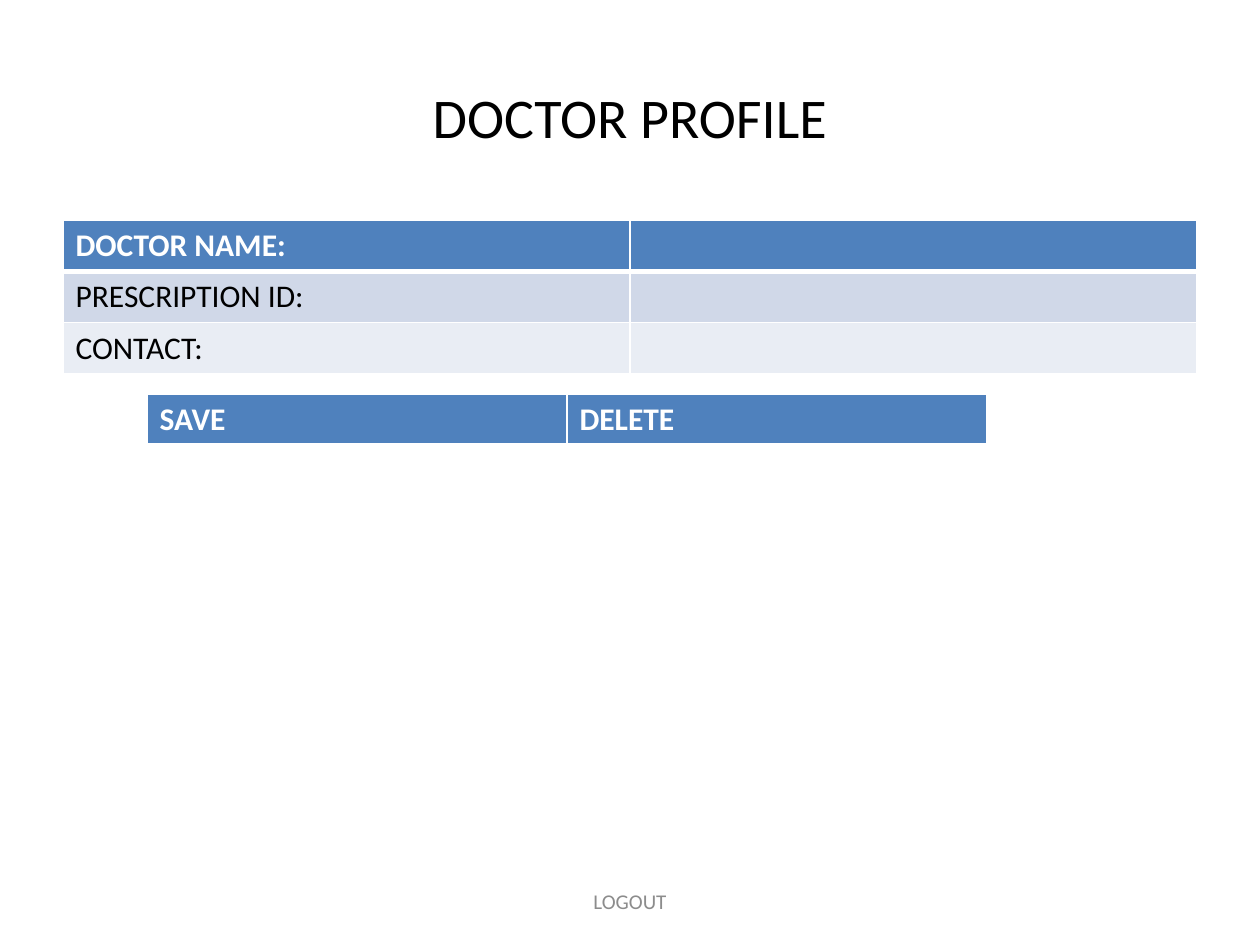
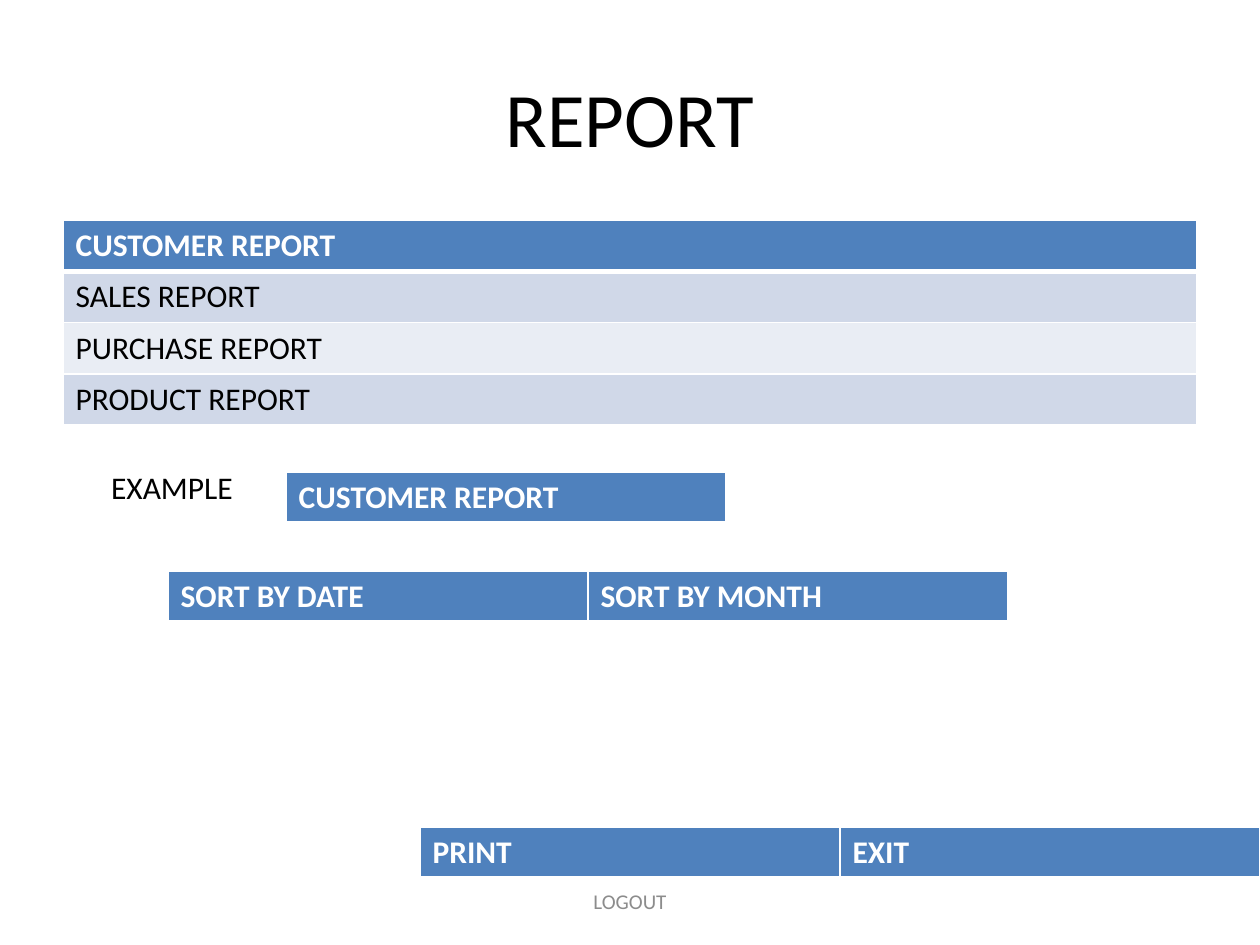
from lxml import etree
from pptx import Presentation
from pptx.dml.color import RGBColor
from pptx.enum.text import MSO_ANCHOR, PP_ALIGN
from pptx.oxml.ns import qn
from pptx.util import Inches, Pt

CENTER, LEFT = PP_ALIGN.CENTER, PP_ALIGN.LEFT
MIDDLE, TOP = MSO_ANCHOR.MIDDLE, MSO_ANCHOR.TOP

BLACK = RGBColor(0x00, 0x00, 0x00)
WHITE = RGBColor(0xFF, 0xFF, 0xFF)
GRAY = RGBColor(0x8C, 0x8C, 0x8C)
BLUE = RGBColor(0x4F, 0x81, 0xBD)
BANDS = (RGBColor(0xE9, 0xED, 0xF4), RGBColor(0xD0, 0xD8, 0xE8))

FONT = "Calibri"
SLIDE_W, SLIDE_H = Inches(10), Inches(7.5)
COLS, ROWS = 120, 90
TABLE_ROW = 4.87

TITLE_BOX = (6, 3.6, 108, 15)
FOOTER_BOX = (41, 83.4, 38, 4.8)
MAIN_TABLE = (6, 21, 108)
BUTTONS_W = 80


def across(cols):
    return round(SLIDE_W * cols / COLS)


def down(rows):
    return round(SLIDE_H * rows / ROWS)


def add_run(p, text, size, color, bold=False):
    r = p.add_run()
    r.text = text
    r.font.name = FONT
    r.font.size = Pt(size)
    r.font.bold = bold
    r.font.color.rgb = color


def add_text(s, box, text, size, color=BLACK, align=CENTER, anchor=MIDDLE, wrap=True):
    x, y, w, h = box
    tf = s.shapes.add_textbox(across(x), down(y), across(w), down(h)).text_frame
    tf.word_wrap = wrap
    tf.vertical_anchor = anchor
    p = tf.paragraphs[0]
    p.alignment = align
    add_run(p, text, size, color)


def set_borders(cell, top, bottom):
    tc_pr = cell._tc.get_or_add_tcPr()
    edges = (("L", 1), ("R", 1), ("T", top), ("B", bottom))
    for i, (side, width) in enumerate(edges):
        ln = etree.Element(qn(f"a:ln{side}"), w=str(Pt(width)))
        fill = etree.SubElement(ln, qn("a:solidFill"))
        etree.SubElement(fill, qn("a:srgbClr"), val=str(WHITE))
        tc_pr.insert(i, ln)


def add_table(s, place, rows):
    x, y, w = place
    n_rows, n_cols = len(rows), len(rows[0])
    table = s.shapes.add_table(n_rows, n_cols, across(x), down(y),
                               across(w), down(TABLE_ROW * n_rows)).table
    for column in table.columns:
        column.width = across(w / n_cols)
    for i, labels in enumerate(rows):
        table.rows[i].height = down(TABLE_ROW)
        header = i == 0
        for j, label in enumerate(labels):
            cell = table.cell(i, j)
            cell.fill.solid()
            cell.fill.fore_color.rgb = BLUE if header else BANDS[i % 2]
            set_borders(cell, 3 if i == 1 else 1, 3 if header else 1)
            if label:
                add_run(cell.text_frame.paragraphs[0], label, 18,
                        WHITE if header else BLACK, header)


def add_buttons(s, x, y, *labels):
    add_table(s, (x, y, BUTTONS_W), [labels])


def add_page(prs, title, title_size):
    s = prs.slides.add_slide(prs.slide_layouts[6])
    add_text(s, TITLE_BOX, title, title_size)
    add_text(s, FOOTER_BOX, "LOGOUT", 12, GRAY)
    return s


def add_doctor_profile(prs):
    s = add_page(prs, "DOCTOR PROFILE", 32)
    fields = ("DOCTOR NAME:", "PRESCRIPTION ID:", "CONTACT:")
    add_table(s, MAIN_TABLE, [(field, "") for field in fields])
    add_buttons(s, 14, 37.5, "SAVE", "DELETE")


def add_report(prs):
    s = add_page(prs, "REPORT", 44)
    subjects = ("CUSTOMER", "SALES", "PURCHASE", "PRODUCT")
    add_table(s, MAIN_TABLE, [(f"{subject} REPORT",) for subject in subjects])
    add_text(s, (9.4, 44, 14.2, 4.8), "EXAMPLE", 18, align=LEFT, anchor=TOP, wrap=False)
    add_table(s, (27.25, 45, 41.9), [("CUSTOMER REPORT",)])
    add_buttons(s, 16, 54.4, "SORT BY DATE", "SORT BY MONTH")
    add_buttons(s, 40, 78.75, "PRINT", "EXIT")


def main():
    prs = Presentation()
    prs.slide_width, prs.slide_height = SLIDE_W, SLIDE_H
    add_doctor_profile(prs)
    add_report(prs)
    prs.save("out.pptx")


if __name__ == "__main__":
    main()
